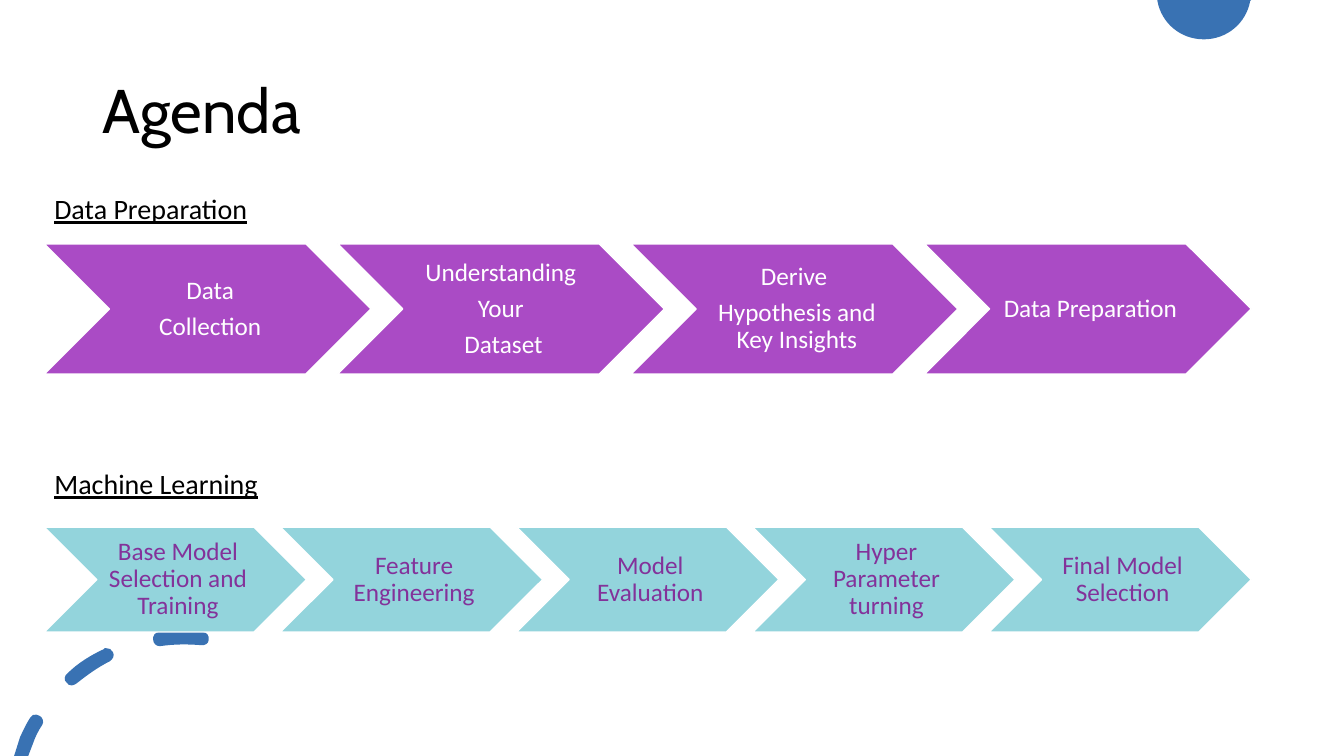
from lxml.etree import Element
from pptx import Presentation
from pptx.dml.color import RGBColor
from pptx.enum.shapes import MSO_SHAPE as Preset
from pptx.enum.text import MSO_ANCHOR as Anchor, PP_ALIGN as Align
from pptx.oxml.ns import qn
from pptx.util import Inches, Pt

COLORS = {
    "accent": "3972B3", "black": "000000", "white": "FFFFFF",
    "purple": "AA4BC5", "teal": "93D4DC", "violet": "83329A",
}

TOP_DISC = [
    [(11.48, 0), (12.41, 0), (12.4, 0.01),
     (12.36, 0.23, 12.17, 0.39, 11.94, 0.39),
     (11.71, 0.39, 11.52, 0.23, 11.48, 0.01)],
]
DASHED_ARC = [
    [(0.36, 7.09), (0.34, 7.08, 0.31, 7.1, 0.3, 7.12),
     (0.26, 7.18, 0.23, 7.25, 0.2, 7.31), (0.14, 7.5), (0.28, 7.5),
     (0.33, 7.37), (0.35, 7.31, 0.38, 7.25, 0.42, 7.19),
     (0.44, 7.16, 0.42, 7.11, 0.39, 7.1),
     (0.38, 7.09, 0.37, 7.09, 0.36, 7.09)],
    [(1.05, 6.43), (1.04, 6.43, 1.03, 6.43, 1.03, 6.44),
     (0.9, 6.5, 0.77, 6.58, 0.67, 6.68),
     (0.64, 6.7, 0.63, 6.75, 0.66, 6.77),
     (0.67, 6.79, 0.69, 6.8, 0.71, 6.8), (0.71, 6.8),
     (0.73, 6.8, 0.74, 6.79, 0.76, 6.78),
     (0.86, 6.7, 0.97, 6.62, 1.09, 6.56),
     (1.12, 6.54, 1.14, 6.5, 1.12, 6.47),
     (1.11, 6.44, 1.08, 6.43, 1.05, 6.43)],
    [(1.79, 6.25), (1.72, 6.25, 1.65, 6.26, 1.58, 6.27),
     (1.54, 6.27, 1.51, 6.31, 1.52, 6.35),
     (1.52, 6.38, 1.55, 6.41, 1.58, 6.41),
     (1.59, 6.41, 1.59, 6.41, 1.59, 6.41),
     (1.73, 6.39, 1.86, 6.39, 1.99, 6.4),
     (2.03, 6.41, 2.07, 6.38, 2.07, 6.35),
     (2.08, 6.31, 2.05, 6.27, 2.01, 6.27),
     (2.01, 6.27, 2.01, 6.27, 2.01, 6.27),
     (1.94, 6.26, 1.86, 6.25, 1.79, 6.25)],
]
PREPARATION_STEPS = [
    "Data\nCollection",
    "Understanding \nYour \nDataset",
    "Derive \nHypothesis and Key Insights",
    "Data Preparation",
]
LEARNING_STEPS = [
    "Base Model Selection and Training",
    "Feature Engineering",
    "Model Evaluation",
    "Hyper Parameter turning",
    "Final Model Selection",
]


class AgendaSlide:
    body_font = "Calibri"
    title_font = "Cabin"

    def __init__(self, presentation):
        self.slide = presentation.slides.add_slide(presentation.slide_layouts[5])

    def color(self, name):
        return RGBColor.from_string(COLORS[name])

    def fill(self, shape, name):
        shape.shadow.inherit = False
        shape.fill.solid()
        shape.fill.fore_color.rgb = self.color(name)

    def format_runs(self, paragraph, size, color, font=body_font, underline=None):
        for run in paragraph.runs:
            run.font.name = font
            run.font.size = Pt(size)
            run.font.color.rgb = self.color(color)
            run.font.underline = underline

    def title(self, text, left, top, width, height):
        shape = self.slide.shapes.title
        shape.left, shape.top = Inches(left), Inches(top)
        shape.width, shape.height = Inches(width), Inches(height)
        text_frame = shape.text_frame
        text_frame.text = text
        text_frame.vertical_anchor = Anchor.MIDDLE
        paragraph = text_frame.paragraphs[0]
        paragraph.alignment = Align.LEFT
        paragraph.line_spacing = 0.9
        self.format_runs(paragraph, 44, "black", self.title_font)

    def outline(self, contours):
        builder = None
        for contour in contours:
            first, *rest = [(Inches(segment[-2]), Inches(segment[-1])) for segment in contour]
            if builder is None:
                builder = self.slide.shapes.build_freeform(*first)
            else:
                builder.move_to(*first)
            builder.add_line_segments(rest, close=True)
        shape = builder.convert_to_shape()
        segments = [segment for contour in contours for segment in contour[1:]]
        self.bend(shape, segments)
        self.fill(shape, "accent")
        shape.line.fill.background()

    def bend(self, shape, segments):
        lines = list(shape.element.iter(qn("a:lnTo")))
        for line, segment in zip(lines, segments):
            if len(segment) == 2:
                continue
            curve = Element(qn("a:cubicBezTo"))
            for x, y in zip(segment[::2], segment[1::2]):
                point = Element(qn("a:pt"))
                point.set("x", str(Inches(x) - shape.left))
                point.set("y", str(Inches(y) - shape.top))
                curve.append(point)
            line.getparent().replace(line, curve)

    def heading(self, text, left, top, width):
        box = self.slide.shapes.add_textbox(Inches(left), Inches(top), Inches(width), Inches(0.44))
        box.text_frame.text = text
        box.text_frame.word_wrap = False
        self.format_runs(box.text_frame.paragraphs[0], 20, "black", underline=True)

    def chevron(self, text, left, top, width, height, fill, text_color):
        shape = self.slide.shapes.add_shape(
            Preset.CHEVRON, Inches(left), Inches(top), Inches(width), Inches(height))
        self.fill(shape, fill)
        shape.line.color.rgb = self.color("white")
        shape.line.width = Pt(1)
        text_frame = shape.text_frame
        text_frame.text = text
        text_frame.word_wrap = True
        text_frame.vertical_anchor = Anchor.MIDDLE
        text_frame.margin_left = Inches(0.08)
        text_frame.margin_top = text_frame.margin_right = text_frame.margin_bottom = Inches(0.03)
        for paragraph in text_frame.paragraphs:
            paragraph.alignment = Align.CENTER
            paragraph.line_spacing = 0.9
            paragraph.space_after = Pt(6.3)
            self.format_runs(paragraph, 18, text_color)

    def process(self, steps, top, width, height, fill, text_color):
        left, right = 0.44, 12.41
        pitch = (right - left - width) / (len(steps) - 1)
        for index, step in enumerate(steps):
            self.chevron(step, left + index * pitch, top, width, height, fill, text_color)


def main():
    presentation = Presentation()
    presentation.slide_width = Inches(13.33)
    presentation.slide_height = Inches(7.5)
    agenda = AgendaSlide(presentation)
    agenda.outline(TOP_DISC)
    agenda.outline(DASHED_ARC)
    agenda.title("Agenda", 0.92, 0.4, 6.08, 1.45)
    agenda.process(PREPARATION_STEPS, 2.42, 3.24, 1.29, "purple", "white")
    agenda.process(LEARNING_STEPS, 5.23, 2.6, 1.04, "teal", "violet")
    agenda.heading("Data Preparation", 0.44, 1.85, 2.34)
    agenda.heading("Machine Learning", 0.44, 4.58, 2.49)
    presentation.save("out.pptx")


if __name__ == "__main__":
    main()
